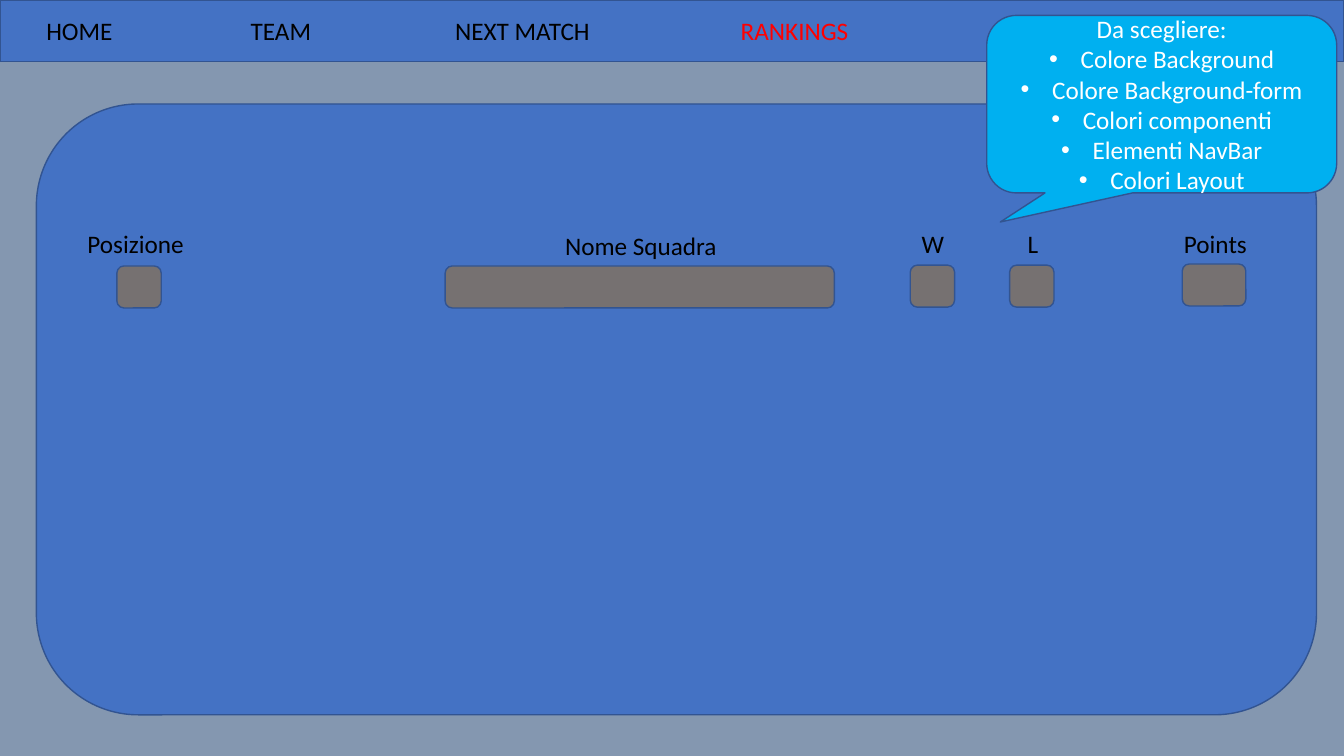
"""Build the rankings page mock-up with its navigation bar and design note."""
from lxml import etree
from pptx import Presentation
from pptx.dml.color import RGBColor
from pptx.enum.shapes import MSO_SHAPE
from pptx.enum.text import MSO_ANCHOR, PP_ALIGN
from pptx.oxml.ns import qn
from pptx.util import Pt

RECT = MSO_SHAPE.RECTANGLE
ROUND = MSO_SHAPE.ROUNDED_RECTANGLE
CALLOUT = MSO_SHAPE.ROUNDED_RECTANGULAR_CALLOUT
LEFT, CENTER = PP_ALIGN.LEFT, PP_ALIGN.CENTER
COLORS = {
    "background": "8497B0", "panel": "4472C4", "border": "325491",
    "note": "00B0F0", "field": "767171", "text": "000000",
    "active": "FF0000", "white": "FFFFFF",
}


def add_box(kind, x, y, w, h, color):
    sp = s.shapes.add_shape(kind, Pt(x), Pt(y), Pt(w), Pt(h))
    sp.shadow.inherit = False
    sp.fill.solid()
    sp.fill.fore_color.rgb = RGBColor.from_string(COLORS[color])
    sp.line.color.rgb = RGBColor.from_string(COLORS["border"])
    sp.line.width = Pt(1)
    return sp


def write(sp, text, color="text", align=LEFT, anchor=MSO_ANCHOR.TOP):
    tf = sp.text_frame
    tf.word_wrap = True
    tf.vertical_anchor = anchor
    tf.text = text
    for p in tf.paragraphs:
        p.alignment = align
        p.font.size = Pt(18)
        p.font.name = "Calibri"
        p.font.color.rgb = RGBColor.from_string(COLORS[color])
    return tf


prs = Presentation()
prs.slide_width, prs.slide_height = Pt(960), Pt(540)
s = prs.slides.add_slide(prs.slide_layouts[6])
s.background.fill.solid()
s.background.fill.fore_color.rgb = RGBColor.from_string(COLORS["background"])

add_box(RECT, 0, 0, 960, 44, "panel")
nav_items = [("HOME", 26, "text"), ("TEAM", 172, "text"),
             ("NEXT MATCH", 318, "text"), ("RANKINGS", 522, "active")]
for label, x, color in nav_items:
    sp = s.shapes.add_textbox(Pt(x), Pt(7.5), Pt(119.5), Pt(29))
    write(sp, label, color=color)

add_box(ROUND, 26, 74.3, 914.4, 436.3, "panel")

note = add_box(CALLOUT, 704.8, 11, 250, 126.8, "note")
for i, value in enumerate((-0.461, 0.664, 0.167)):
    note.adjustments[i] = value
choices = ["Da scegliere:", "Colore Background", "Colore Background-form",
           "Colori componenti", "Elementi NavBar", "Colori Layout"]
tf = write(note, "\n".join(choices), color="white", align=CENTER,
           anchor=MSO_ANCHOR.MIDDLE)
for p in tf.paragraphs[1:]:
    pPr = p._p.get_or_add_pPr()
    pPr.set("marL", str(Pt(22.5)))
    pPr.set("indent", str(Pt(-22.5)))
    bullet_font = etree.Element(qn("a:buFont"), typeface="Arial")
    bullet = etree.Element(qn("a:buChar"), char="•")
    pPr.insert(0, bullet_font)
    pPr.insert(1, bullet)

columns = [
    ("Posizione", 55.4, 159.8, 88, LEFT, 83.5, 190, 31.7),
    ("Nome Squadra", 381.5, 161, 152.6, CENTER, 318, 190, 278),
    ("W", 651.3, 159.8, 29, LEFT, 650.2, 189.4, 31.7),
    ("L", 727, 159.8, 29, LEFT, 721.2, 189.4, 31.7),
    ("Points", 838.6, 159.8, 72.7, LEFT, 844.5, 188.6, 45.4),
]
for label, x, y, w, align, field_x, field_y, field_w in columns:
    sp = s.shapes.add_textbox(Pt(x), Pt(y), Pt(w), Pt(29))
    write(sp, label, align=align)
    add_box(ROUND, field_x, field_y, field_w, 30, "field")

prs.save("out.pptx")
